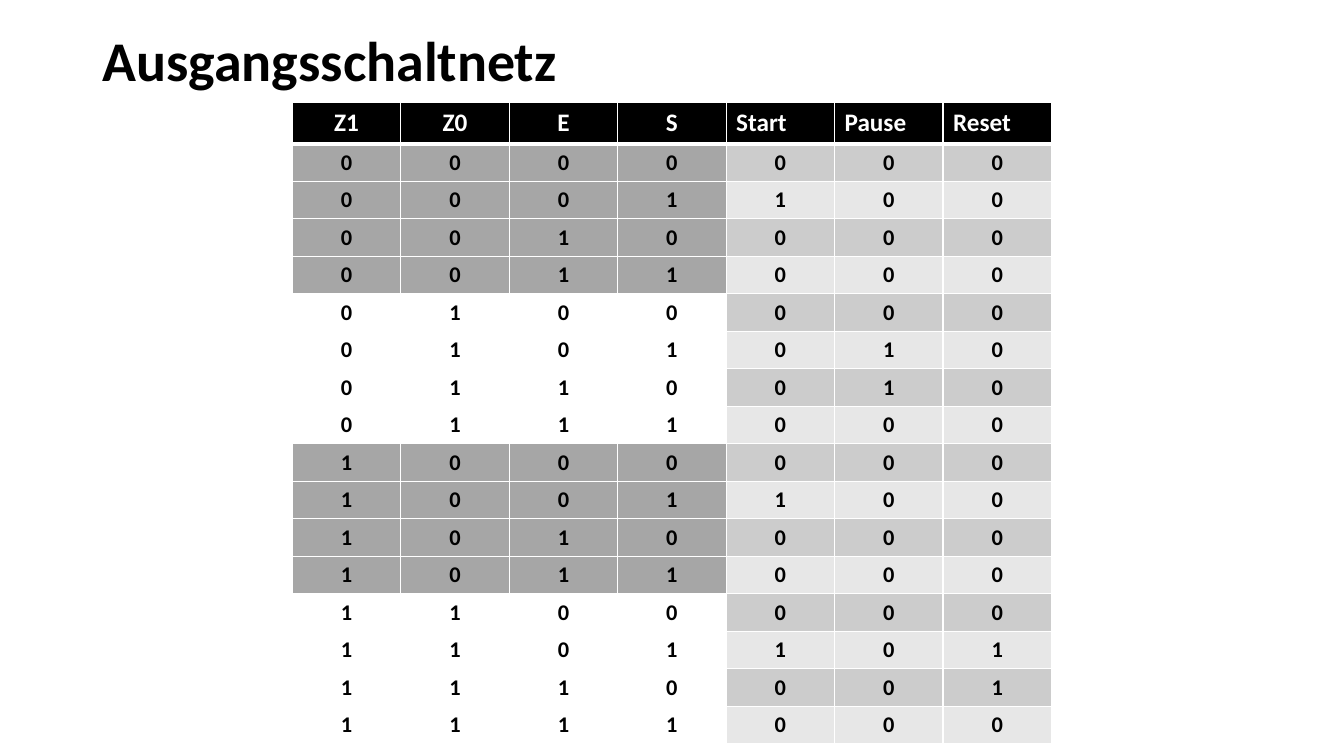
import dataclasses
import itertools
import typing

import lxml.etree
import pptx
import pptx.dml.color
import pptx.enum.text
import pptx.oxml.ns
import pptx.util

RGB = pptx.dml.color.RGBColor
BLACK = RGB(0x00, 0x00, 0x00)
WHITE = RGB(0xFF, 0xFF, 0xFF)
STATE_GREY = RGB(0xA6, 0xA6, 0xA6)
DARK_BAND = RGB(0xCC, 0xCC, 0xCC)
LIGHT_BAND = RGB(0xE7, 0xE7, 0xE7)

ALIGN = pptx.enum.text.PP_ALIGN
WIDTH = pptx.util.Inches(13.33)
HEIGHT = pptx.util.Inches(7.5)
INPUTS = ("Z1", "Z0", "E", "S")
OUTPUTS = ("Start", "Pause", "Reset")
OUTPUT_BITS = (
    "000", "100", "000", "000",
    "000", "010", "010", "000",
    "000", "100", "000", "000",
    "000", "101", "001", "000",
)
HEADER_SHARE = 5.2
ROW_SHARE = 4.8


@dataclasses.dataclass(frozen=True)
class Box:
    """Place and size in percent of the slide."""
    left: float
    top: float
    width: float
    height: float

    def emu(self) -> tuple[int, int, int, int]:
        """Return the box in slide units."""
        return (across(self.left), down(self.top),
                across(self.width), down(self.height))


@dataclasses.dataclass(frozen=True)
class CellSpec:
    """Text and format of one table cell."""
    text: str
    fill: RGB
    color: RGB = BLACK
    size: int = 16
    align: ALIGN = ALIGN.CENTER
    top: int = 1
    bottom: int = 1


def across(share: float) -> int:
    """Convert a percentage of the slide width."""
    return round(WIDTH * share / 100)


def down(share: float) -> int:
    """Convert a percentage of the slide height."""
    return round(HEIGHT * share / 100)


def format_text(p: typing.Any, size: int, color: RGB, align: ALIGN) -> None:
    """Format a paragraph in bold Calibri."""
    p.alignment = align
    formats = {"name": "Calibri", "size": pptx.util.Pt(size), "bold": True}
    for r in p.runs:
        for key, value in formats.items():
            setattr(r.font, key, value)
        r.font.color.rgb = color


def add_borders(cell: typing.Any, spec: CellSpec) -> None:
    """Draw the white borders of a cell."""
    tc_pr = cell._tc.get_or_add_tcPr()
    qn = pptx.oxml.ns.qn
    widths = {"lnL": 1, "lnR": 1, "lnT": spec.top, "lnB": spec.bottom}
    for side, width in widths.items():
        ln = lxml.etree.SubElement(tc_pr, qn(f"a:{side}"), w=str(pptx.util.Pt(width)))
        fill = lxml.etree.SubElement(ln, qn("a:solidFill"))
        lxml.etree.SubElement(fill, qn("a:srgbClr"), val=str(WHITE))


def fill_cell(cell: typing.Any, spec: CellSpec) -> None:
    """Write and format one cell."""
    add_borders(cell, spec)
    cell.fill.solid()
    cell.fill.fore_color.rgb = spec.fill
    cell.text = spec.text
    format_text(cell.text_frame.paragraphs[0], spec.size, spec.color, spec.align)


def truth_rows() -> list[list[CellSpec]]:
    """Build the header and the sixteen rows of the truth table."""
    rows = [[CellSpec(name, BLACK, WHITE, 18,
                      ALIGN.CENTER if name in INPUTS else ALIGN.LEFT, bottom=3)
             for name in INPUTS + OUTPUTS]]
    states = itertools.product("01", repeat=len(INPUTS))
    for i, (state, result) in enumerate(zip(states, OUTPUT_BITS)):
        state_fill = STATE_GREY if state[1] == "0" else WHITE
        band = LIGHT_BAND if i % 2 else DARK_BAND
        top = 1 if i else 3
        rows.append([CellSpec(bit, state_fill, top=top) for bit in state]
                    + [CellSpec(bit, band, top=top) for bit in result])
    return rows


def add_title(s: typing.Any, text: str, box: Box) -> None:
    """Place and format the title."""
    sp = s.shapes.title
    sp.left, sp.top, sp.width, sp.height = box.emu()
    tf = sp.text_frame
    tf.text = text
    formats = {
        "word_wrap": True,
        "auto_size": pptx.enum.text.MSO_AUTO_SIZE.NONE,
        "vertical_anchor": pptx.enum.text.MSO_ANCHOR.MIDDLE,
    }
    for key, value in formats.items():
        setattr(tf, key, value)
    p = tf.paragraphs[0]
    p.line_spacing = 0.9
    format_text(p, 40, BLACK, ALIGN.LEFT)


def add_truth_table(s: typing.Any, rows: list[list[CellSpec]], box: Box) -> None:
    """Add the truth table with equal columns."""
    table = s.shapes.add_table(len(rows), len(rows[0]), *box.emu()).table
    for i, (row, specs) in enumerate(zip(table.rows, rows)):
        row.height = down(ROW_SHARE if i else HEADER_SHARE)
        for cell, spec in zip(row.cells, specs):
            fill_cell(cell, spec)


def main() -> None:
    """Build and save the slide."""
    prs = pptx.Presentation()
    prs.slide_width, prs.slide_height = WIDTH, HEIGHT
    s = prs.slides.add_slide(prs.slide_layouts.get_by_name("Title Only"))
    add_title(s, "Ausgangsschaltnetz", Box(6.88, 3.07, 86.25, 10.53))
    rows = truth_rows()
    table_height = HEADER_SHARE + ROW_SHARE * len(OUTPUT_BITS)
    add_truth_table(s, rows, Box(21.75, 13.6, 56.5, table_height))
    prs.save("out.pptx")


if __name__ == "__main__":
    main()
